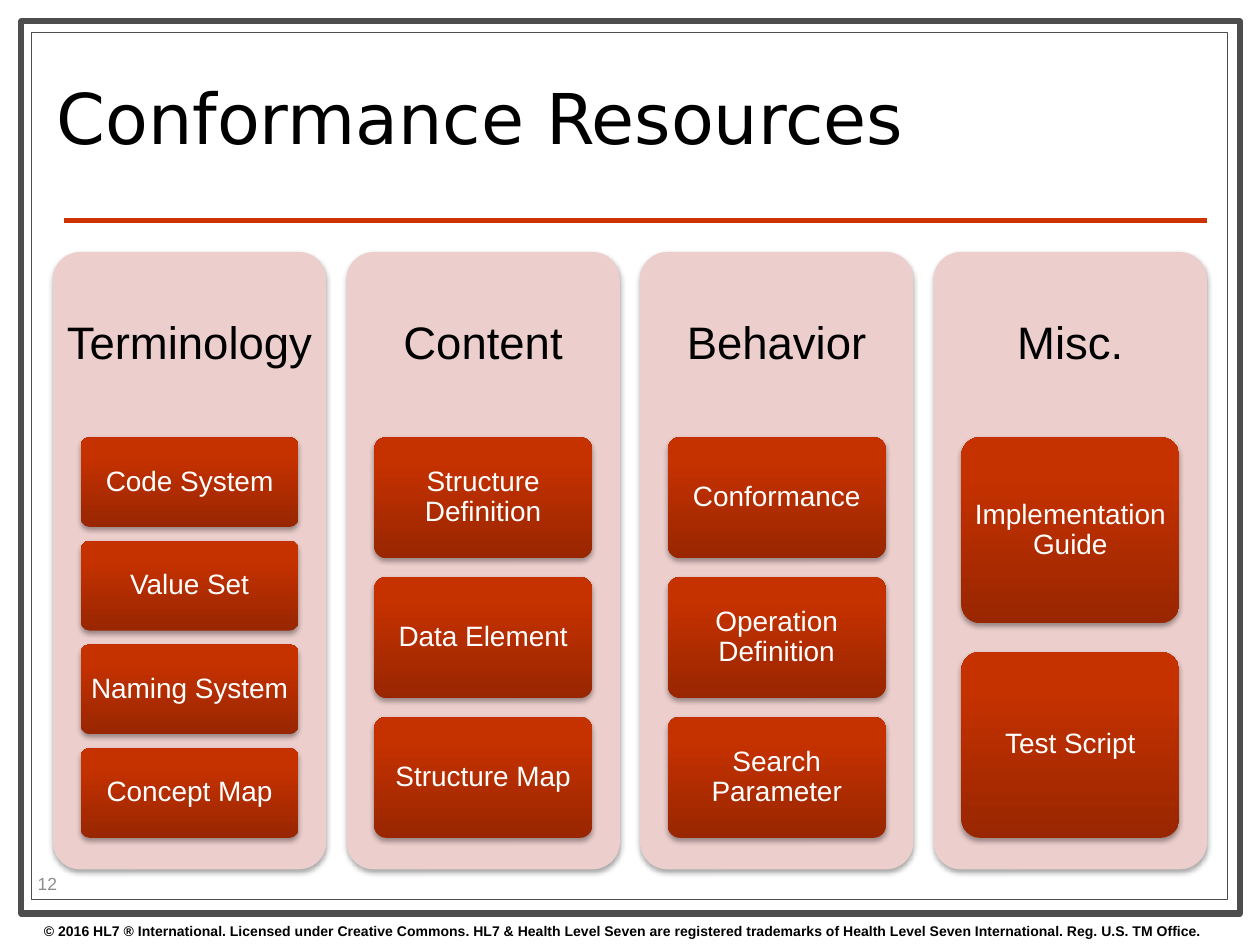
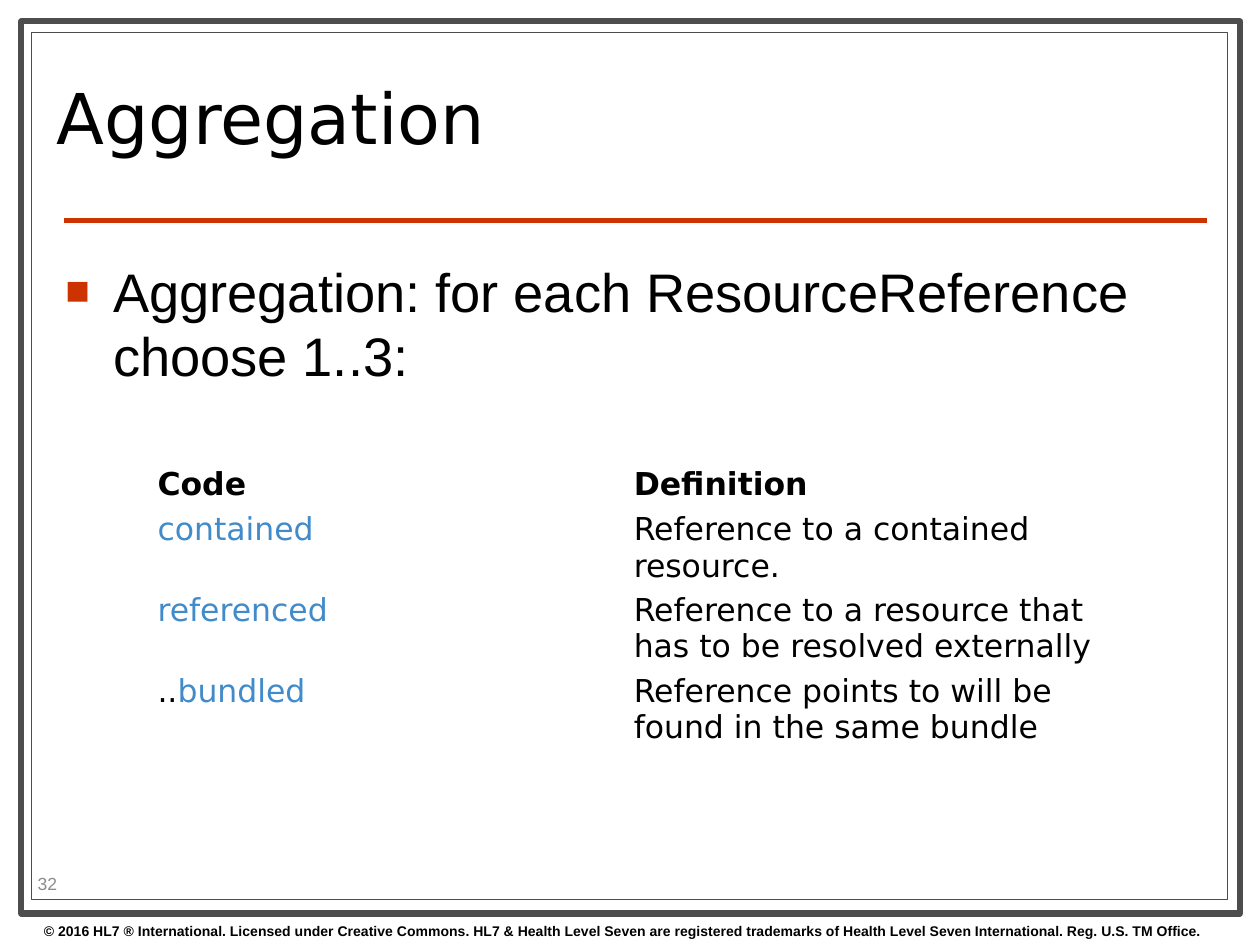
from copy import deepcopy

from lxml import etree
from pptx import Presentation
from pptx.dml.color import RGBColor
from pptx.enum.shapes import MSO_CONNECTOR, MSO_SHAPE
from pptx.enum.text import MSO_ANCHOR, MSO_AUTO_SIZE, PP_ALIGN
from pptx.oxml.ns import qn
from pptx.util import Inches, Pt

RECT = MSO_SHAPE.RECTANGLE
ROUNDED = MSO_SHAPE.ROUNDED_RECTANGLE
STRAIGHT = MSO_CONNECTOR.STRAIGHT
TOP, MIDDLE = MSO_ANCHOR.TOP, MSO_ANCHOR.MIDDLE
LEFT, CENTER = PP_ALIGN.LEFT, PP_ALIGN.CENTER
NO_AUTOFIT = MSO_AUTO_SIZE.NONE

COLORS = {
    "white": "FFFFFF",
    "black": "000000",
    "frame": "4D4D4D",
    "accent": "CC3300",
    "panel": "ECCECC",
    "number": "8C8C8C",
    "code": "428BCA",
}
CARD_GRADIENT = [(0, "982600"), (0.8, "C63100"), (1, "C73200")]
BODY_FONT, TITLE_FONT = "Arial", "DejaVu Sans"

COPYRIGHT = (
    "© 2016 HL7 ® International. Licensed under Creative Commons. "
    "HL7 & Health Level Seven are registered trademarks of "
    "Health Level Seven International. Reg. U.S. TM Office."
)
RESOURCES = {
    "Terminology": ["Code System", "Value Set", "Naming System", "Concept Map"],
    "Content": ["Structure Definition", "Data Element", "Structure Map"],
    "Behavior": ["Conformance", "Operation Definition", "Search Parameter"],
    "Misc.": ["Implementation Guide", "Test Script"],
}
AGGREGATION_RULE = "Aggregation: for each ResourceReference choose 1..3:"
AGGREGATION_HEADER = ("Code", "Definition")
AGGREGATION_CODES = [
    ("", "contained", "Reference to a contained resource."),
    ("", "referenced", "Reference to a resource that has to be resolved externally"),
    ("..", "bundled", "Reference points to will be found in the same bundle"),
]

FRAMES = [((0.17, 0.17, 9.67, 7.08), 3.5), ((0.25, 0.26, 9.49, 6.88), 0.75)]
PANEL_LEFT, PANEL_TOP, PANEL_WIDTH, PANEL_HEIGHT = 0.42, 2, 2.17, 4.9
PANEL_PITCH = 2.33
HEADING_HEIGHT = 1.47
CARD_INDENT, CARD_WIDTH, CARD_STACK = 0.22, 1.73, 3.18
CARD_GAP_RATIO = 0.154


def rgb(name):
    return RGBColor.from_string(COLORS.get(name, name))


def box(left, top, width, height):
    return [Inches(value) for value in (left, top, width, height)]


def add_run(paragraph, text, size, color="black", font=BODY_FONT, bold=False):
    run = paragraph.add_run()
    run.text = text
    run.font.size = Pt(size)
    run.font.name = font
    run.font.bold = bold
    run.font.color.rgb = rgb(color)


def set_frame(frame, anchor=TOP, side=0.1, vertical=0.05):
    frame.word_wrap = True
    frame.auto_size = NO_AUTOFIT
    frame.vertical_anchor = anchor
    frame.margin_left = frame.margin_right = Inches(side)
    frame.margin_top = frame.margin_bottom = Inches(vertical)
    return frame.paragraphs[0]


def add_text(slide, place, text, size, anchor=TOP, **style):
    frame = slide.shapes.add_textbox(*box(*place)).text_frame
    paragraph = set_frame(frame, anchor)
    add_run(paragraph, text, size, **style)
    return paragraph


def add_effects(shape):
    return etree.SubElement(shape._element.spPr, qn("a:effectLst"))


def add_rounded(slide, place):
    shape = slide.shapes.add_shape(ROUNDED, *box(*place))
    shape.adjustments[0] = 0.1
    shape.line.fill.background()
    shadow = etree.SubElement(
        add_effects(shape), qn("a:outerShdw"), blurRad=str(Pt(3.1)),
        dist=str(Pt(1.8)), dir="5400000", rotWithShape="0")
    color = etree.SubElement(shadow, qn("a:srgbClr"), val=COLORS["black"])
    etree.SubElement(color, qn("a:alpha"), val="35000")
    return shape


def fill_card(card):
    card.fill.gradient()
    card.fill.gradient_angle = 90
    stop_list = card._element.spPr.find(".//" + qn("a:gsLst"))
    stop_list.append(deepcopy(stop_list[-1]))
    for stop, (position, color) in zip(card.fill.gradient_stops, CARD_GRADIENT):
        stop.position = position
        stop.color.rgb = rgb(color)


def add_base(prs, title_text, number):
    slide = prs.slides.add_slide(prs.slide_layouts[5])
    for place, weight in FRAMES:
        border = slide.shapes.add_shape(RECT, *box(*place))
        border.shadow.inherit = False
        border.fill.solid()
        border.fill.fore_color.rgb = rgb("white")
        border.line.color.rgb = rgb("frame")
        border.line.width = Pt(weight)

    rule = slide.shapes.add_connector(STRAIGHT, *box(0.51, 1.75, 9.58, 1.75))
    rule.line.color.rgb = rgb("accent")
    rule.line.width = Pt(3)
    add_effects(rule)

    add_text(slide, (0.25, 7.27, 9.75, 0.23), COPYRIGHT, 8, bold=True)
    add_text(slide, (0.2, 6.89, 0.79, 0.24), number, 10, MIDDLE, color="number")

    title = slide.shapes.title
    slide.shapes._spTree.append(title._element)
    title.left, title.top, title.width, title.height = box(0.35, 0.36, 7.17, 1.26)
    paragraph = set_frame(title.text_frame, MIDDLE)
    paragraph.alignment = LEFT
    paragraph.line_spacing = 0.8
    add_run(paragraph, title_text, 40, font=TITLE_FONT)
    return slide


def add_resource_panel(slide, left, heading, resources):
    panel = add_rounded(slide, (left, PANEL_TOP, PANEL_WIDTH, PANEL_HEIGHT))
    panel.fill.solid()
    panel.fill.fore_color.rgb = rgb("panel")
    paragraph = add_text(
        slide, (left, PANEL_TOP, PANEL_WIDTH, HEADING_HEIGHT), heading, 26, MIDDLE)
    paragraph.alignment = CENTER
    paragraph.line_spacing = 0.9

    count = len(resources)
    height = CARD_STACK / (count + (count - 1) * CARD_GAP_RATIO)
    for row, resource in enumerate(resources):
        top = PANEL_TOP + HEADING_HEIGHT + row * height * (1 + CARD_GAP_RATIO)
        card = add_rounded(slide, (left + CARD_INDENT, top, CARD_WIDTH, height))
        fill_card(card)
        paragraph = set_frame(card.text_frame, MIDDLE, 0.04, 0.03)
        paragraph.alignment = CENTER
        paragraph.line_spacing = 0.9
        add_run(paragraph, resource, 16, "white")


def add_bullet(paragraph):
    properties = paragraph._p.get_or_add_pPr()
    properties.set("marL", str(Inches(0.38)))
    properties.set("indent", str(-Inches(0.38)))
    color = etree.SubElement(properties, qn("a:buClr"))
    etree.SubElement(color, qn("a:srgbClr"), val=COLORS["accent"])
    etree.SubElement(properties, qn("a:buSzPct"), val="75000")
    etree.SubElement(properties, qn("a:buFont"), typeface=BODY_FONT)
    etree.SubElement(properties, qn("a:buChar"), char="■")


def fill_cell(cell, runs, bold=False):
    cell.fill.solid()
    cell.fill.fore_color.rgb = rgb("white")
    cell.margin_left = cell.margin_right = Inches(0.03)
    cell.margin_top = cell.margin_bottom = Inches(0.03)
    for text, color in runs:
        add_run(cell.text_frame.paragraphs[0], text, 18, color, TITLE_FONT, bold)


def add_code_table(slide):
    table = slide.shapes.add_table(
        len(AGGREGATION_CODES) + 1, 2, *box(1.22, 3.67, 7.56, 2.35)).table
    table.first_row = table.horz_banding = False
    for row, height in zip(table.rows, (0.36, 0.64, 0.64, 0.71)):
        row.height = Inches(height)
    for column, label in enumerate(AGGREGATION_HEADER):
        fill_cell(table.cell(0, column), [(label, "black")], bold=True)
    for row, (prefix, code, definition) in enumerate(AGGREGATION_CODES, 1):
        prefix_runs = [(prefix, "black")] if prefix else []
        fill_cell(table.cell(row, 0), prefix_runs + [(code, "code")])
        fill_cell(table.cell(row, 1), [(definition, "black")])


def main():
    prs = Presentation()
    prs.slide_width, prs.slide_height = Inches(10), Inches(7.5)

    conformance = add_base(prs, "Conformance Resources", "12")
    for column, (heading, resources) in enumerate(RESOURCES.items()):
        left = PANEL_LEFT + column * PANEL_PITCH
        add_resource_panel(conformance, left, heading, resources)

    aggregation = add_base(prs, "Aggregation", "32")
    rule = add_text(aggregation, (0.42, 2, 9.17, 1.5), AGGREGATION_RULE, 31)
    add_bullet(rule)
    rule.line_spacing = Pt(37)
    add_code_table(aggregation)

    prs.save("out.pptx")


if __name__ == "__main__":
    main()
